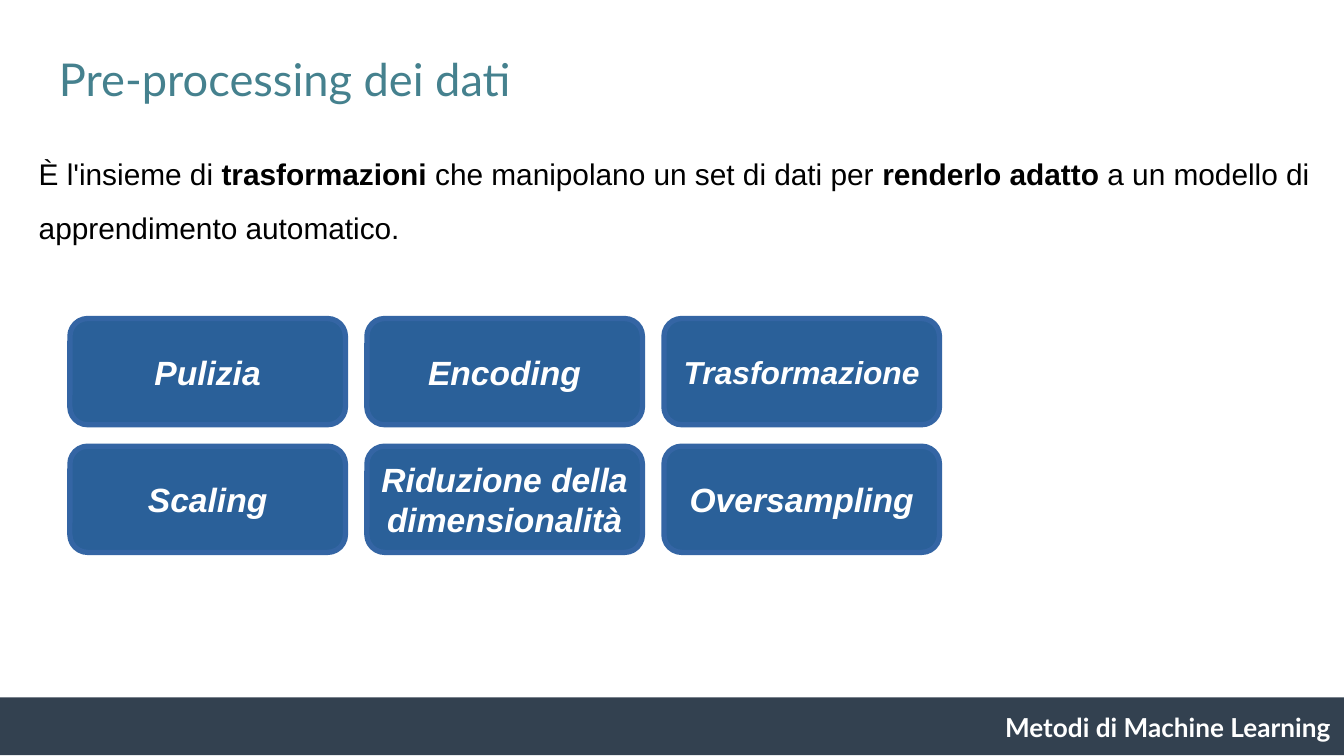
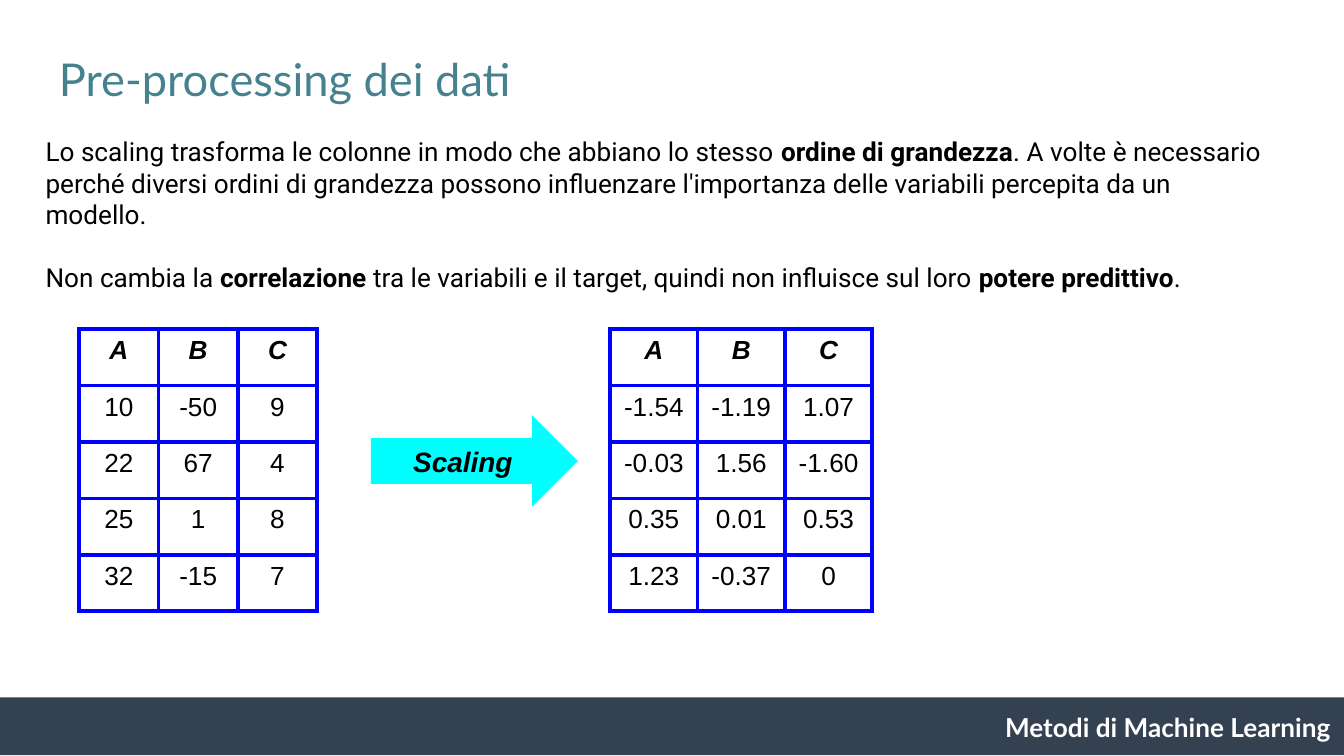
from lxml.etree import SubElement
from pptx import Presentation
from pptx.dml.color import RGBColor
from pptx.enum.shapes import MSO_SHAPE as Preset
from pptx.enum.text import MSO_ANCHOR as Anchor, PP_ALIGN as Align
from pptx.oxml.ns import qn
from pptx.util import Inches, Pt

WHITE, BLACK, TEAL, SLATE = "FFFFFF", "000000", "45818E", "334150"
STEP_FILL, STEP_EDGE, ARROW, GRID = "2A6099", "3465A4", "00FFFF", "0000FF"

TITLE = "Pre-processing dei dati"
COURSE = "Metodi di Machine Learning"
DEFINITION = ("È l'insieme di *trasformazioni *che manipolano un set di dati per "
              "*renderlo adatto* a un modello di apprendimento automatico.")
STEPS = [["Pulizia", "Encoding", "Trasformazione"],
         ["Scaling", "Riduzione della dimensionalità", "Oversampling"]]
STEP_SIZES = {"Trasformazione": 17}
EXPLANATION = [
    "Lo scaling trasforma le colonne in modo che abbiano lo stesso "
    "*ordine di grandezza*. A volte è necessario perché diversi ordini di "
    "grandezza possono influenzare l'importanza delle variabili percepita "
    "da un modello.",
    "Non cambia la *correlazione *tra le variabili e il target, quindi non "
    "influisce sul loro *potere predittivo*.",
]
HEADER = ["A", "B", "C"]
RAW_DATA = [["10", "-50", "9"], ["22", "67", "4"],
            ["25", "1", "8"], ["32", "-15", "7"]]
SCALED_DATA = [["-1.54", "-1.19", "1.07"], ["-0.03", "1.56", "-1.60"],
               ["0.35", "0.01", "0.53"], ["1.23", "-0.37", "0"]]


def color(value):
    """Turn a hex string into a colour."""
    return RGBColor.from_string(value)


def write(frame, *paragraphs, size=14, font="Arial", ink=BLACK, bold=False,
          italic=False, align=Align.LEFT, spacing=None, gap=0):
    """Fill a text frame; asterisks enclose the bold parts of a paragraph."""
    for index, text in enumerate(paragraphs):
        paragraph = frame.add_paragraph() if index else frame.paragraphs[0]
        paragraph.alignment = align
        paragraph.space_before = Pt(gap if index else 0)
        if spacing:
            paragraph.line_spacing = spacing
        for part, words in enumerate(text.split("*")):
            run = paragraph.add_run()
            run.text = words
            run.font.size = Pt(size)
            run.font.name = font
            run.font.color.rgb = color(ink)
            run.font.bold = bold or part % 2 == 1
            run.font.italic = italic


def set_margins(frame, vertical, horizontal=0.1):
    """Wrap the text and set the inner margins."""
    frame.word_wrap = True
    frame.margin_left = frame.margin_right = Inches(horizontal)
    frame.margin_top = frame.margin_bottom = Inches(vertical)


def add_text(slide, box, *paragraphs, margin=0.1, **style):
    """Place a text box."""
    frame = slide.shapes.add_textbox(*map(Inches, box)).text_frame
    set_margins(frame, margin)
    write(frame, *paragraphs, **style)


def add_block(slide, preset, box, fill, edge=None, label=None, margin=0.1, **style):
    """Place a filled shape with an optional edge and centred label."""
    block = slide.shapes.add_shape(preset, *map(Inches, box))
    block.shadow.inherit = False
    block.fill.solid()
    block.fill.fore_color.rgb = color(fill)
    if edge:
        block.line.color.rgb = color(edge)
        block.line.width = Pt(2.83)
    else:
        block.line.fill.background()
    if label:
        set_margins(block.text_frame, margin, margin)
        block.text_frame.vertical_anchor = Anchor.MIDDLE
        write(block.text_frame, label, bold=True, italic=True,
              align=Align.CENTER, **style)


def add_borders(cell):
    """Draw the four borders of a table cell."""
    properties = cell._tc.get_or_add_tcPr()
    for side in ("a:lnL", "a:lnR", "a:lnT", "a:lnB"):
        border = SubElement(properties, qn(side), w=str(Pt(2.21)))
        solid = SubElement(border, qn("a:solidFill"))
        SubElement(solid, qn("a:srgbClr"), val=GRID)


def add_data_table(slide, left, top, column_width, records, row_height=0.42):
    """Place a bordered table with an italic header."""
    rows = [HEADER] + records
    box = (left, top, column_width * len(HEADER), row_height * len(rows))
    table = slide.shapes.add_table(len(rows), len(HEADER), *map(Inches, box)).table
    table.first_row = table.horz_banding = False
    for column in table.columns:
        column.width = Inches(column_width)
    for r, values in enumerate(rows):
        table.rows[r].height = Inches(row_height)
        for c, value in enumerate(values):
            cell = table.cell(r, c)
            add_borders(cell)
            cell.fill.background()
            write(cell.text_frame, value, bold=r == 0, italic=r == 0,
                  align=Align.CENTER)


def add_steps(slide, left, top, width=2.05, height=0.79, gap=0.16):
    """Lay out the pre-processing steps as a grid."""
    for r, row in enumerate(STEPS):
        for c, step in enumerate(row):
            box = (left + c * (width + gap), top + r * (height + gap), width, height)
            add_block(slide, Preset.ROUNDED_RECTANGLE, box, STEP_FILL, STEP_EDGE,
                      step, margin=0.05, size=STEP_SIZES.get(step, 18), ink=WHITE)


def add_base_slide(deck):
    """Add a slide with the shared title and footer band."""
    slide = deck.slides.add_slide(deck.slide_layouts[6])
    add_text(slide, (0.34, 0.28, 9.32, 0.63), TITLE,
             size=24.2, font="Lato", ink=TEAL)
    add_block(slide, Preset.RECTANGLE, (-0.02, 5.19, 10.02, 0.43), SLATE)
    add_text(slide, (7.33, 5.19, 2.67, 0.91), COURSE, font="Lato",
             ink=WHITE, bold=True, align=Align.RIGHT)
    return slide


def add_overview_slide(deck):
    """Define pre-processing and list its steps."""
    slide = add_base_slide(deck)
    add_text(slide, (0.19, 0.98, 10.5, 0.84), DEFINITION,
             margin=0.05, size=16, spacing=1.5)
    add_steps(slide, 0.52, 2.37)


def add_scaling_slide(deck):
    """Explain scaling with the data before and after."""
    slide = add_base_slide(deck)
    add_text(slide, (0.24, 0.91, 9.29, 0.47), *EXPLANATION, font="Roboto", gap=17)
    add_block(slide, Preset.RIGHT_ARROW, (2.76, 3.09, 1.54, 0.68), ARROW,
              label="Scaling", size=15)
    add_data_table(slide, 0.59, 2.45, 0.59, RAW_DATA)
    add_data_table(slide, 4.54, 2.45, 0.65, SCALED_DATA)


def main():
    """Build and save the deck."""
    deck = Presentation()
    deck.slide_width = Inches(10)
    deck.slide_height = deck.slide_width * 9 // 16
    add_overview_slide(deck)
    add_scaling_slide(deck)
    deck.save("out.pptx")


if __name__ == "__main__":
    main()
